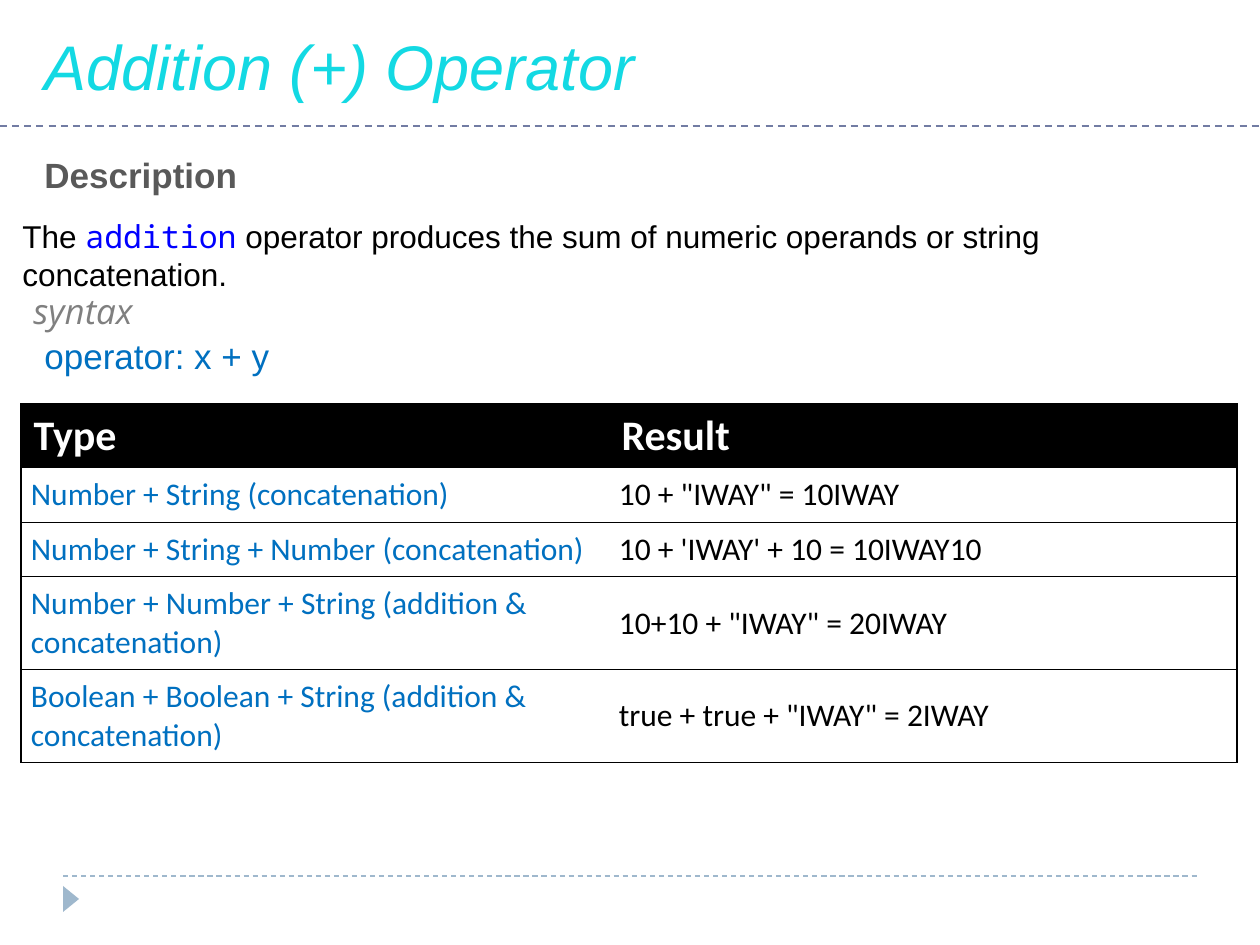
import pptx
import pptx.dml.color
import pptx.enum.dml
import pptx.enum.shapes
import pptx.enum.text
import pptx.oxml.ns
import pptx.util
from lxml import etree

RGB = pptx.dml.color.RGBColor
BLACK = RGB(0x00, 0x00, 0x00)
WHITE = RGB(0xFF, 0xFF, 0xFF)
CYAN = RGB(0x13, 0xD9, 0xE3)
DARK_GRAY = RGB(0x59, 0x59, 0x59)
GRAY = RGB(0x80, 0x80, 0x80)
CODE_BLUE = RGB(0x00, 0x00, 0xFF)
BLUE = RGB(0x00, 0x70, 0xC0)
RULE_BLUE = RGB(0x72, 0x7C, 0xA3)
PALE_BLUE = RGB(0x9F, 0xB8, 0xCD)

PX_PER_INCH = 126
ANCHOR = pptx.enum.text.MSO_ANCHOR
ROWS = [
    ("Type", "Result"),
    ("Number + String (concatenation)", '10 + "IWAY" = 10IWAY'),
    ("Number + String + Number (concatenation)", "10 + 'IWAY' + 10 = 10IWAY10"),
    ("Number + Number + String (addition & concatenation)", '10+10 + "IWAY" = 20IWAY'),
    ("Boolean + Boolean + String (addition & concatenation)", 'true + true + "IWAY" = 2IWAY'),
]


def px(n):
    return pptx.util.Emu(round(n * 914400 / PX_PER_INCH))


def add_run(p, text, size, font, color, bold=False, italic=False):
    r = p.add_run()
    r.text = text
    r.font.size = pptx.util.Pt(size)
    r.font.name = font
    r.font.color.rgb = color
    r.font.bold = bold
    r.font.italic = italic


def fill_text(sp, runs):
    tf = sp.text_frame
    tf.word_wrap = True
    tf.auto_size = pptx.enum.text.MSO_AUTO_SIZE.NONE
    tf.vertical_anchor = ANCHOR.TOP
    p = tf.paragraphs[0]
    p.alignment = pptx.enum.text.PP_ALIGN.LEFT
    for run in runs:
        add_run(p, *run)


def add_text(slide, box, *runs):
    fill_text(slide.shapes.add_textbox(*map(px, box)), runs)


def add_dashed_rule(slide, x, y, width, color, weight):
    line = slide.shapes.add_connector(
        pptx.enum.shapes.MSO_CONNECTOR.STRAIGHT, px(x), px(y), px(x + width), px(y))
    line.line.color.rgb = color
    line.line.width = pptx.util.Pt(weight)
    line.line.dash_style = pptx.enum.dml.MSO_LINE.DASH
    etree.SubElement(line._element.spPr, pptx.oxml.ns.qn("a:effectLst"))


def add_footer(slide, x, y, width):
    add_dashed_rule(slide, x, y, width, PALE_BLUE, 0.75)
    sp = slide.shapes.add_shape(
        pptx.enum.shapes.MSO_SHAPE.ISOSCELES_TRIANGLE,
        px(x - 5), px(y + 15), px(26), px(16))
    sp.rotation = 90
    sp.shadow.inherit = False
    sp.fill.solid()
    sp.fill.fore_color.rgb = PALE_BLUE
    sp.line.fill.background()


def add_header(slide, x, y, width):
    title = slide.shapes.title
    title.left, title.top, title.width, title.height = map(px, (x, y, width, 90))
    fill_text(title, [("Addition (+) Operator", 36, "Arial", CYAN, False, True)])
    add_dashed_rule(slide, 0, y + 105, 1260, RULE_BLUE, 1)


def add_description(slide, x, y):
    add_text(slide, (x + 22, y, 1187, 55), ("Description", 20, "Arial", DARK_GRAY, True))
    add_text(slide, (x, y + 64, 1250, 50),
             ("The ", 18, "Arial", BLACK),
             ("addition", 18, "Noto Sans Mono", CODE_BLUE),
             (" operator produces the sum of numeric operands or string concatenation.",
              18, "Arial", BLACK))
    add_text(slide, (x + 22, y + 181, 1197, 55), ("operator: x + y", 20, "Arial", BLUE))
    add_text(slide, (x + 11, y + 136, 1218, 55),
             ("syntax", 20, "Open Sans", GRAY, False, True))


def set_borders(cell, sides):
    """Draw black lines on the given sides and none on the others."""
    tcPr = cell._tc.get_or_add_tcPr()
    for side in "LRTB":
        ln = etree.SubElement(tcPr, pptx.oxml.ns.qn("a:ln" + side), w="9525")
        if side in sides:
            fill = etree.SubElement(ln, pptx.oxml.ns.qn("a:solidFill"))
            etree.SubElement(fill, pptx.oxml.ns.qn("a:srgbClr"), val=str(BLACK))
        else:
            etree.SubElement(ln, pptx.oxml.ns.qn("a:noFill"))


def add_results_table(slide, x, y):
    col_widths, row_heights = (588, 628), (63, 53, 53, 91, 91)
    table = slide.shapes.add_table(
        len(ROWS), len(col_widths), px(x), px(y),
        px(sum(col_widths)), px(sum(row_heights))).table
    for col, width in zip(table.columns, col_widths):
        col.width = px(width)
    for i, (texts, height) in enumerate(zip(ROWS, row_heights)):
        table.rows[i].height = px(height)
        header = i == 0
        for j, text in enumerate(texts):
            cell = table.cell(i, j)
            set_borders(cell, "TB" + "LR"[j])
            cell.fill.solid()
            cell.fill.fore_color.rgb = BLACK if header else WHITE
            p = cell.text_frame.paragraphs[0]
            if header:
                add_run(p, text, 24, "Calibri", WHITE, True)
            else:
                cell.vertical_anchor = ANCHOR.MIDDLE
                cell.margin_left = cell.margin_right = px(10)
                cell.margin_top = cell.margin_bottom = px(8)
                add_run(p, text, 18, "Calibri", (BLUE, BLACK)[j])


def main():
    prs = pptx.Presentation()
    prs.slide_width, prs.slide_height = px(1260), px(945)
    slide = prs.slides.add_slide(prs.slide_layouts[5])
    add_footer(slide, 63, 876, 1134)
    add_header(slide, 32, 21, 1187)
    add_description(slide, 10, 147)
    add_results_table(slide, 21, 404)
    prs.save("out.pptx")


if __name__ == "__main__":
    main()
